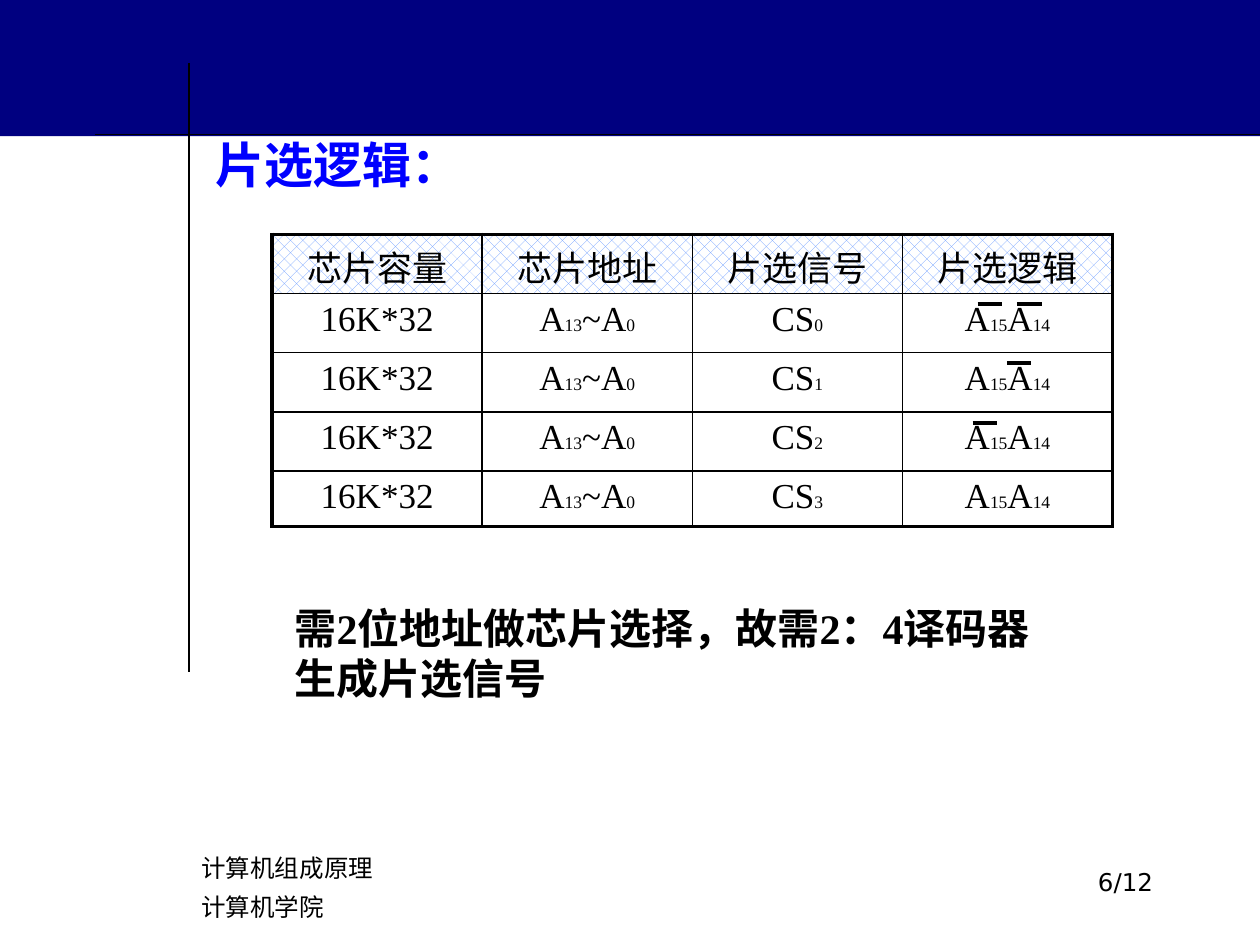
from lxml.etree import SubElement
from pptx import Presentation
from pptx.dml.color import RGBColor
from pptx.enum.dml import MSO_PATTERN
from pptx.enum.shapes import MSO_CONNECTOR as CONNECTOR, MSO_SHAPE as SHAPE
from pptx.enum.text import PP_ALIGN as ALIGN
from pptx.oxml import parse_xml
from pptx.oxml.ns import nsdecls, qn
from pptx.util import Pt

NAVY = RGBColor(0x00, 0x00, 0x80)
BLUE = RGBColor(0x00, 0x00, 0xFF)
SKY = RGBColor(0x66, 0x99, 0xFF)
BLACK = RGBColor(0x00, 0x00, 0x00)
WHITE = RGBColor(0xFF, 0xFF, 0xFF)

CHINESE = "Noto Sans CJK SC"
SERIF = "Times New Roman"
SANS = "DejaVu Sans"

HEADERS = ["芯片容量", "芯片地址", "片选信号", "片选逻辑"]
CHIP_COUNT = 4
THIN, THICK = 1, 2.25


def format_run(run, size, font, color=BLACK, bold=False):
    """Set the Latin and East Asian fonts, size and colour of a run."""
    run.font.size = Pt(size)
    run.font.name = font
    run.font.bold = bold
    run.font.color.rgb = color
    SubElement(run.font._element, qn("a:ea")).set("typeface", CHINESE)


def add_text(slide, box, text, size, font, color=BLACK, bold=False,
             align=ALIGN.LEFT, spacing=None, inset=3.6):
    """Place a wrapped text box in the given box."""
    shape = slide.shapes.add_textbox(*map(Pt, box))
    frame = shape.text_frame
    frame.word_wrap = True
    frame.margin_top = Pt(inset)
    frame.text = text
    for paragraph in frame.paragraphs:
        paragraph.alignment = align
        if spacing:
            paragraph.line_spacing = Pt(spacing)
        for run in paragraph.runs:
            format_run(run, size, font, color, bold)


def add_line(slide, start, end, width):
    """Draw a straight black line without a shadow."""
    line = slide.shapes.add_connector(
        CONNECTOR.STRAIGHT, *map(Pt, (*start, *end)))
    line.line.color.rgb = BLACK
    line.line.width = Pt(width)
    SubElement(line._element.spPr, qn("a:effectLst"))


def add_frame(slide, box):
    """Draw the banner and the two crossing rules."""
    left, top, width, height = box
    banner = slide.shapes.add_shape(SHAPE.RECTANGLE, *map(Pt, box))
    banner.shadow.inherit = False
    banner.fill.solid()
    banner.fill.fore_color.rgb = NAVY
    banner.line.fill.background()
    rule_top = top + height - 0.8
    add_line(slide, (left + width, rule_top), (left + 54, rule_top), 0.75)
    add_line(slide, (left + 108, top + 36), (left + 108, top + 384), 0.75)


def set_borders(cell, widths):
    """Give a cell black borders of the left, right, top and bottom widths."""
    properties = cell._tc.get_or_add_tcPr()
    for index, (side, width) in enumerate(zip("LRTB", widths)):
        properties.insert(index, parse_xml(
            f'<a:ln{side} {nsdecls("a")} w="{int(Pt(width))}"><a:solidFill>'
            f'<a:srgbClr val="{BLACK}"/></a:solidFill></a:ln{side}>'))


def fill_cell(cell, parts, font):
    """Write centred text, with every second part set small."""
    paragraph = cell.text_frame.paragraphs[0]
    paragraph.alignment = ALIGN.CENTER
    for index, part in enumerate(parts):
        run = paragraph.add_run()
        run.text = part
        format_run(run, 10 if index % 2 else 20, font)


def add_chip_table(slide, box):
    """Build the table of chips, addresses and select signals."""
    row_count, column_count = CHIP_COUNT + 1, len(HEADERS)
    table = slide.shapes.add_table(
        row_count, column_count, *map(Pt, box)).table
    table.first_row = table.horz_banding = False
    for column in table.columns:
        column.width = Pt(box[2] / column_count)
    for row in table.rows:
        row.height = Pt(33.84)
    table.rows[CHIP_COUNT].height = Pt(box[3] - CHIP_COUNT * 33.84)

    rows = [[[header] for header in HEADERS]]
    for chip in range(CHIP_COUNT):
        rows.append([["16K*32"], ["A", "13", "~A", "0"],
                     ["CS", str(chip)], ["A", "15", "A", "14"]])
    for row, contents in enumerate(rows):
        for column, parts in enumerate(contents):
            cell = table.cell(row, column)
            fill_cell(cell, parts, SERIF if row else CHINESE)
            if row:
                cell.fill.background()
            else:
                cell.margin_bottom = 0
                cell.fill.patterned()
                cell.fill.pattern = MSO_PATTERN.PERCENT_30
                cell.fill.fore_color.rgb = SKY
                cell.fill.back_color.rgb = WHITE
            outer = (column == 0, column == column_count - 1,
                     row == 0, row == row_count - 1)
            set_borders(cell, [THICK if edge else THIN for edge in outer])


def add_overlines(slide, box):
    """Draw the inversion bars over the address bits."""
    left, top, width, height = box
    for x, row in [(403.2, 0), (425.6, 0), (419.8, 1), (400.3, 2)]:
        y = top + 39.6 + row * 34.1
        add_line(slide, (left + x, y), (left + x + 14.1, y), THICK)


def add_footer(slide, box):
    """Place the course name on the left and the page number on the right."""
    left, top, width, height = box
    add_text(slide, (left, top, 342, height), "计算机组成原理\v计算机学院",
             14, SANS, spacing=22)
    add_text(slide, (left + width - 150, top + 13, 150, height), "6/12",
             14, SANS, align=ALIGN.RIGHT)


def main():
    """Build and save the slide."""
    presentation = Presentation()
    presentation.slide_width, presentation.slide_height = Pt(720), Pt(540)
    slide = presentation.slides.add_slide(presentation.slide_layouts[6])
    table_box = (155.5, 133.9, 480.2, 167)
    add_frame(slide, (0, 0, 720, 77.8))
    add_footer(slide, (108, 478.8, 558, 36))
    add_text(slide, (116, 77, 289.4, 41), "片选逻辑：", 28, CHINESE,
             BLUE, bold=True, inset=0)
    add_chip_table(slide, table_box)
    add_overlines(slide, table_box)
    add_text(slide, (161.3, 337.7, 436.3, 64.8),
             "需2位地址做芯片选择，故需2：4译码器生成片选信号",
             24, SERIF, bold=True, spacing=28.6, inset=7)
    presentation.save("out.pptx")


if __name__ == "__main__":
    main()
